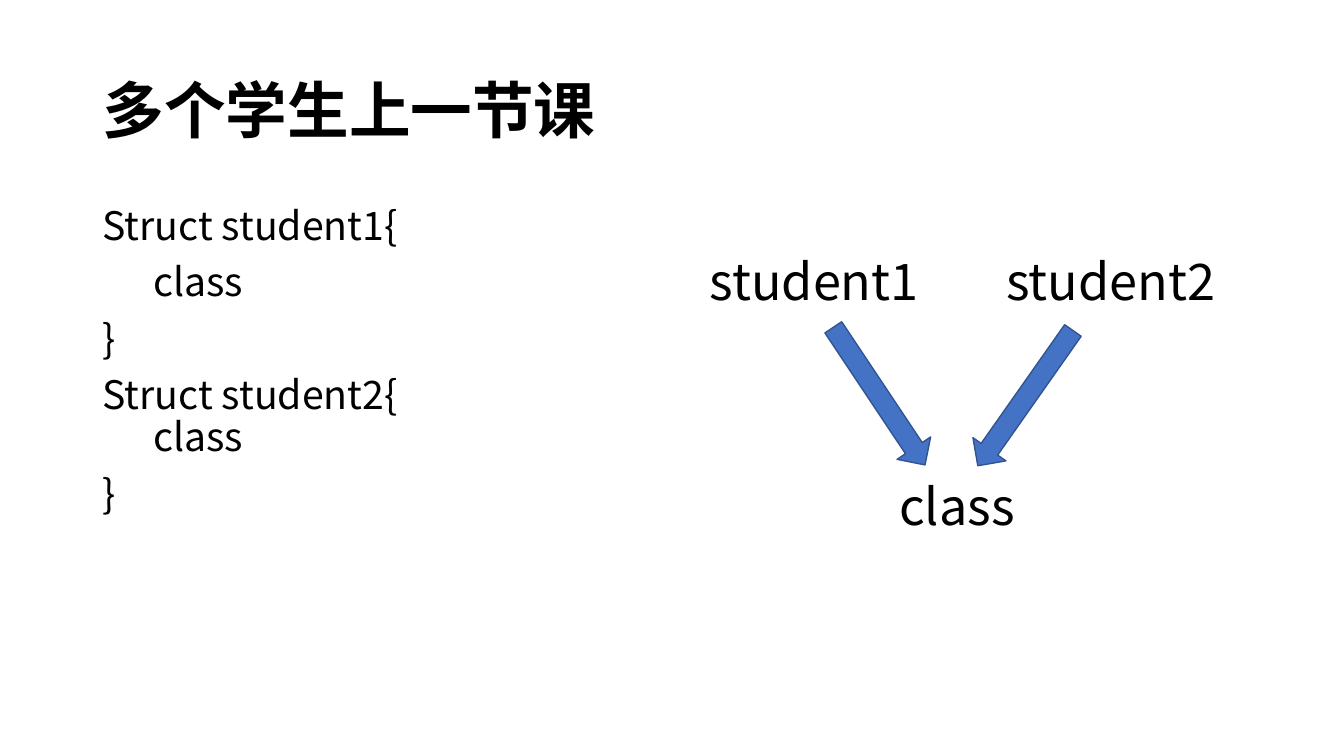
from dataclasses import dataclass

from lxml.etree import SubElement
from pptx import Presentation
from pptx.dml.color import RGBColor
from pptx.enum.shapes import MSO_SHAPE
from pptx.enum.text import MSO_ANCHOR as Anchor
from pptx.oxml.ns import qn
from pptx.slide import Slide
from pptx.util import Inches, Pt

FONT = "Noto Sans CJK SC"
BLACK = RGBColor(0x00, 0x00, 0x00)
BLUE = RGBColor(0x44, 0x72, 0xC4)
DARK_BLUE = RGBColor(0x32, 0x54, 0x91)


@dataclass
class TextBlock:
    left: float
    top: float
    width: float
    height: float
    size: int
    paragraphs: list[str]
    bold: bool = False
    anchor: Anchor = Anchor.TOP
    line_spacing: float = 1.0
    space_before: int = 0
    wrap: bool = True


@dataclass
class Arrow:
    left: float
    top: float
    rotation: float
    width: float = 0.4
    height: float = 1.64


TEXTS = [
    TextBlock(0.92, 0.4, 11.5, 1.45, 44, ["多个学生上一节课"],
              bold=True, anchor=Anchor.MIDDLE, line_spacing=0.9),
    TextBlock(0.92, 2, 3.38, 3.46, 28,
              ["Struct student1{", "\tclass", "}", "Struct student2{\n\tclass", "}"],
              line_spacing=0.9, space_before=10),
    TextBlock(8.82, 4.66, 1.39, 0.71, 36, ["class"], wrap=False),
    TextBlock(6.94, 2.43, 2.31, 0.71, 36, ["student1"], wrap=False),
    TextBlock(9.88, 2.43, 2.31, 0.71, 36, ["student2"], wrap=False),
]
ARROWS = [Arrow(8.52, 3.11, 326.3), Arrow(9.97, 3.13, 35.1)]


def add_text(s: Slide, block: TextBlock) -> None:
    box = s.shapes.add_textbox(Inches(block.left), Inches(block.top),
                               Inches(block.width), Inches(block.height))
    tf = box.text_frame
    tf.word_wrap = block.wrap
    tf.vertical_anchor = block.anchor
    for i, text in enumerate(block.paragraphs):
        p = tf.add_paragraph() if i else tf.paragraphs[0]
        p.line_spacing = block.line_spacing
        p.space_before = Pt(block.space_before)
        for j, line in enumerate(text.split("\n")):
            if j:
                p.add_line_break()
            r = p.add_run()
            r.text = line
            r.font.size = Pt(block.size)
            r.font.bold = block.bold
            r.font.color.rgb = BLACK
            r.font.name = FONT
            SubElement(r.font._element, qn("a:ea"), typeface=FONT)


def add_arrow(s: Slide, arrow: Arrow) -> None:
    sp = s.shapes.add_shape(MSO_SHAPE.DOWN_ARROW, Inches(arrow.left), Inches(arrow.top),
                            Inches(arrow.width), Inches(arrow.height))
    sp.rotation = arrow.rotation
    sp.shadow.inherit = False
    sp.fill.solid()
    sp.fill.fore_color.rgb = BLUE
    sp.line.color.rgb = DARK_BLUE
    sp.line.width = Pt(1)


def main() -> None:
    prs = Presentation()
    prs.slide_width = Inches(13.33)
    prs.slide_height = Inches(7.5)
    s = prs.slides.add_slide(prs.slide_layouts[6])
    for block in TEXTS:
        add_text(s, block)
    for arrow in ARROWS:
        add_arrow(s, arrow)
    prs.save("out.pptx")


if __name__ == "__main__":
    main()
